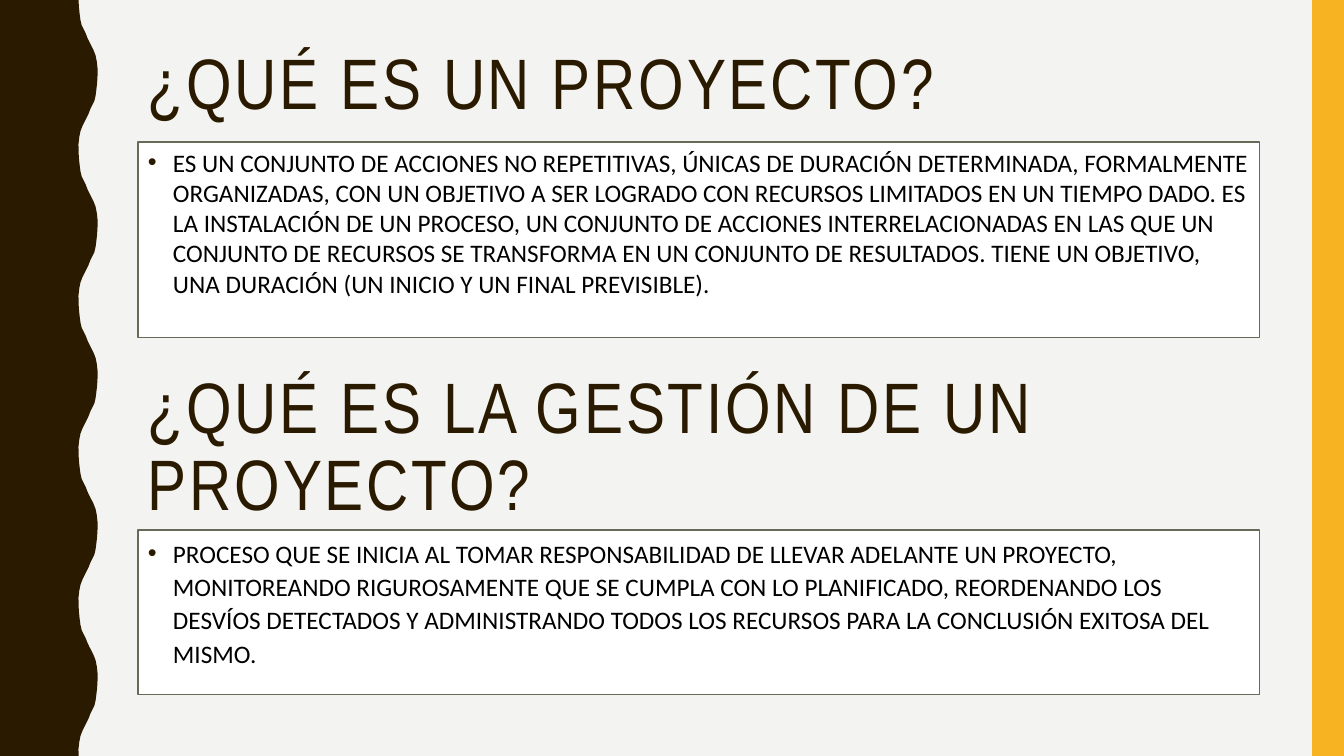
from lxml.etree import SubElement
from pptx import Presentation
from pptx.dml.color import RGBColor
from pptx.enum.shapes import MSO_SHAPE
from pptx.enum.text import MSO_ANCHOR, PP_ALIGN
from pptx.oxml.ns import qn
from pptx.util import Cm, Pt

BROWN = RGBColor(0x2A, 0x1A, 0x00)
GOLD = RGBColor(0xF8, 0xB3, 0x23)
PAPER = RGBColor(0xF3, 0xF3, 0xF2)
WHITE = RGBColor(0xFF, 0xFF, 0xFF)
BLACK = RGBColor(0x00, 0x00, 0x00)
GRAY = RGBColor(0x65, 0x6A, 0x59)

WIDE, HIGH = 33.87, 19.05
LEFT, SPAN = 3.48, 28.27
HEAD = 4.14

# Half a wave of the left edge, in cm: (x, y)
HALF = [(1.98, 0), (1.99, 0.18), (2.01, 0.36), (2.03, 0.51), (2.06, 0.64),
        (2.11, 0.74), (2.16, 0.84), (2.21, 0.97), (2.26, 1.07), (2.31, 1.17),
        (2.36, 1.27), (2.41, 1.4), (2.44, 1.55), (2.46, 1.73)]
TURNS = 10

TITLE = {"name": "Arial Narrow", "size": Pt(51)}
BODY = {"name": "Calibri", "size": Pt(18)}

# Each section: title, title top, text, box top, box height, line spacing
PARTS = [
    ("¿QUÉ ES UN PROYECTO?", 1.07,
     "ES UN CONJUNTO DE ACCIONES NO REPETITIVAS, ÚNICAS DE DURACIÓN "
     "DETERMINADA, FORMALMENTE ORGANIZADAS, CON UN OBJETIVO A SER LOGRADO "
     "CON RECURSOS LIMITADOS EN UN TIEMPO DADO. ES LA INSTALACIÓN DE UN "
     "PROCESO, UN CONJUNTO DE ACCIONES INTERRELACIONADAS EN LAS QUE UN "
     "CONJUNTO DE RECURSOS SE TRANSFORMA EN UN CONJUNTO DE RESULTADOS. "
     "TIENE UN OBJETIVO, UNA DURACIÓN (UN INICIO Y UN FINAL PREVISIBLE).",
     3.58, 4.93, 1.0),
    ("¿QUÉ ES LA GESTIÓN DE UN PROYECTO?", 9.25,
     "PROCESO QUE SE INICIA AL TOMAR RESPONSABILIDAD DE LLEVAR ADELANTE UN "
     "PROYECTO, MONITOREANDO RIGUROSAMENTE QUE SE CUMPLA CON LO "
     "PLANIFICADO, REORDENANDO LOS DESVÍOS DETECTADOS Y ADMINISTRANDO TODOS "
     "LOS RECURSOS PARA LA CONCLUSIÓN EXITOSA DEL MISMO.",
     13.36, 4.14, 1.1),
]


def paint(shape, fill, line=None):
    shape.shadow.inherit = False
    shape.fill.solid()
    shape.fill.fore_color.rgb = fill
    if line is None:
        shape.line.fill.background()
    else:
        shape.line.color.rgb = line
        shape.line.width = Pt(1)


def add_rect(slide, x, y, w, h, fill, line=None):
    rect = slide.shapes.add_shape(
        MSO_SHAPE.RECTANGLE, Cm(x), Cm(y), Cm(w), Cm(h))
    paint(rect, fill, line)
    return rect


def add_wave(slide):
    low, top = HALF[0][0], HALF[-1][0]
    step = HIGH / TURNS
    edge = []
    for turn in range(TURNS):
        for x, y in HALF:
            side = low + top - x if turn % 2 else x
            edge.append((Cm(side), Cm(y + turn * step)))
    edge += [(Cm(low), Cm(HIGH)), (0, Cm(HIGH))]
    form = slide.shapes.build_freeform(0, 0)
    form.add_line_segments(edge, close=True)
    paint(form.convert_to_shape(), BROWN)


def set_text(shape, text, style, color, space):
    frame = shape.text_frame
    frame.word_wrap = True
    frame.vertical_anchor = MSO_ANCHOR.TOP
    para = frame.paragraphs[0]
    para.alignment = PP_ALIGN.LEFT
    para.line_spacing = space
    run = para.add_run()
    run.text = text
    for key, value in style.items():
        setattr(run.font, key, value)
    run.font.color.rgb = color
    return para


def add_title(slide, text, y):
    box = slide.shapes.add_textbox(Cm(LEFT), Cm(y), Cm(SPAN), Cm(HEAD))
    para = set_text(box, text, TITLE, BROWN, 0.9)
    # Letter spacing of 2 pt
    para.runs[0].font._element.set("spc", "200")


def add_body(slide, text, y, h, space):
    box = add_rect(slide, LEFT, y, SPAN, h, WHITE, GRAY)
    para = set_text(box, text, BODY, BLACK, space)
    # Hanging bullet
    props = para._p.get_or_add_pPr()
    props.set("marL", str(Cm(0.63)))
    props.set("indent", str(-Cm(0.63)))
    tint = SubElement(props, qn("a:buClr"))
    SubElement(tint, qn("a:srgbClr")).set("val", str(BROWN))
    SubElement(props, qn("a:buFont")).set("typeface", "Arial")
    SubElement(props, qn("a:buChar")).set("char", "•")


def main():
    deck = Presentation()
    deck.slide_width, deck.slide_height = Cm(WIDE), Cm(HIGH)
    slide = deck.slides.add_slide(deck.slide_layouts[6])

    # Background and side bands
    back = slide.background.fill
    back.solid()
    back.fore_color.rgb = PAPER
    add_wave(slide)
    add_rect(slide, 33.07, 0, 0.8, HIGH, GOLD)

    # Questions and answers
    for title, head, text, top, tall, space in PARTS:
        add_title(slide, title, head)
        add_body(slide, text, top, tall, space)

    deck.save("out.pptx")


if __name__ == "__main__":
    main()
